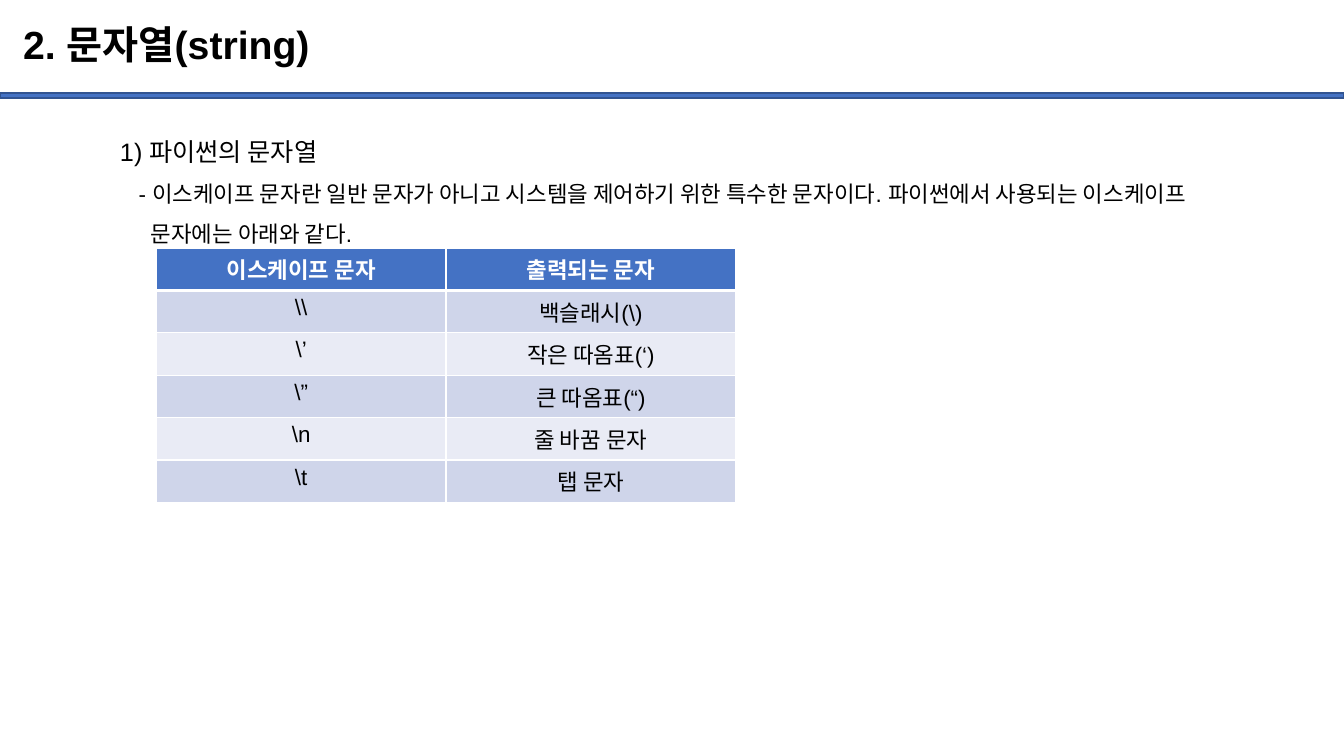
import pptx
import pptx.util
import pptx.dml.color
import pptx.enum.text
import pptx.enum.shapes
import pptx.oxml
from dataclasses import dataclass

Cm, Pt = pptx.util.Cm, pptx.util.Pt
RGB = pptx.dml.color.RGBColor.from_string

# Content
TITLE = "2. 문자열(string)"
BODY = [  # text, type size role, left margin in cm
    ("1) 파이썬의 문자열", "heading", 0),
    ("- 이스케이프 문자란 일반 문자가 아니고 시스템을 제어하기 위한 특수한 문자이다. "
     "파이썬에서 사용되는 이스케이프", "text", 0.47),
    ("문자에는 아래와 같다.", "text", 0.78),
]
ESCAPES = [
    ("이스케이프 문자", "출력되는 문자"),
    ("\\\\", "백슬래시(\\)"),
    ("\\’", "작은 따옴표(‘)"),
    ("\\”", "큰 따옴표(“)"),
    ("\\n", "줄 바꿈 문자"),
    ("\\t", "탭 문자"),
]


@dataclass(frozen=True)
class Theme:
    font: str = "Arial"
    ink: str = "000000"
    paper: str = "FFFFFF"
    accent: str = "4472C4"
    accent_edge: str = "325491"
    bands: tuple = ("E9EBF5", "CFD5EA")
    title: int = 28
    heading: int = 18
    text: int = 16


THEME = Theme()
SLIDE_W, SLIDE_H = Cm(33.87), Cm(19.05)
COLUMN_W, ROW_H = Cm(7.3), Cm(0.93)


def add_run(paragraph, text, size, color=THEME.ink, bold=False):
    run = paragraph.add_run()
    run.text = text
    run.font.name = THEME.font
    run.font.size = Pt(size)
    run.font.bold = bold
    run.font.color.rgb = RGB(color)


def place(shape, left, top, width, height):
    shape.left, shape.top = Cm(left), Cm(top)
    shape.width, shape.height = Cm(width), Cm(height)


def set_borders(cell, widths):
    for side, width in widths.items():
        cell._tc.get_or_add_tcPr().append(pptx.oxml.parse_xml(
            f'<a:ln{side} xmlns:a="http://schemas.openxmlformats.org/drawingml/2006/main" '
            f'w="{Pt(width)}"><a:solidFill><a:srgbClr val="{THEME.paper}"/>'
            f'</a:solidFill></a:ln{side}>'))


def add_heading_bar(slide):
    bar = slide.shapes.add_shape(pptx.enum.shapes.MSO_SHAPE.RECTANGLE,
                                 0, Cm(2.34), SLIDE_W, Cm(0.13))
    bar.shadow.inherit = False
    bar.fill.solid()
    bar.fill.fore_color.rgb = RGB(THEME.accent)
    bar.line.color.rgb = RGB(THEME.accent_edge)
    bar.line.width = Pt(1)


def fill_title(title):
    place(title, 0.33, 0.25, 29.21, 1.88)
    frame = title.text_frame
    frame.auto_size = pptx.enum.text.MSO_AUTO_SIZE.NONE
    frame.vertical_anchor = pptx.enum.text.MSO_ANCHOR.MIDDLE
    line = frame.paragraphs[0]
    line.alignment = pptx.enum.text.PP_ALIGN.LEFT
    line.line_spacing = 0.9
    add_run(line, TITLE, THEME.title, bold=True)


def fill_body(body):
    place(body, 2.77, 2.92, 31.09, 6.4)
    frame = body.text_frame
    frame.auto_size = pptx.enum.text.MSO_AUTO_SIZE.NONE
    for index, (text, role, margin) in enumerate(BODY):
        line = frame.add_paragraph() if index else frame.paragraphs[0]
        line.line_spacing = 1.5
        line.space_before = Pt(0)
        # Plain lines: own left margin, no bullet
        properties = line._p.get_or_add_pPr()
        properties.set("marL", str(Cm(margin)))
        properties.set("indent", "0")
        properties.append(pptx.oxml.parse_xml(
            '<a:buNone xmlns:a="http://schemas.openxmlformats.org/drawingml/2006/main"/>'))
        add_run(line, text, getattr(THEME, role))


def add_escape_table(slide):
    rows, columns = len(ESCAPES), len(ESCAPES[0])
    table = slide.shapes.add_table(rows, columns, Cm(3.94), Cm(6.25),
                                   COLUMN_W * columns, ROW_H * rows).table
    for r, entries in enumerate(ESCAPES):
        header = r == 0
        for c, text in enumerate(entries):
            cell = table.cell(r, c)
            set_borders(cell, {"L": 1, "R": 1, "T": 3 if r == 1 else 1,
                               "B": 3 if header else 1})
            cell.fill.solid()
            cell.fill.fore_color.rgb = RGB(THEME.accent if header else THEME.bands[r % 2])
            line = cell.text_frame.paragraphs[0]
            line.alignment = pptx.enum.text.PP_ALIGN.CENTER
            add_run(line, text, THEME.text, THEME.paper if header else THEME.ink, header)


def main():
    deck = pptx.Presentation()
    deck.slide_width, deck.slide_height = SLIDE_W, SLIDE_H
    slide = deck.slides.add_slide(deck.slide_layouts[1])
    fill_title(slide.shapes.title)
    fill_body(slide.placeholders[1])
    add_heading_bar(slide)
    add_escape_table(slide)
    deck.save("out.pptx")


if __name__ == "__main__":
    main()
